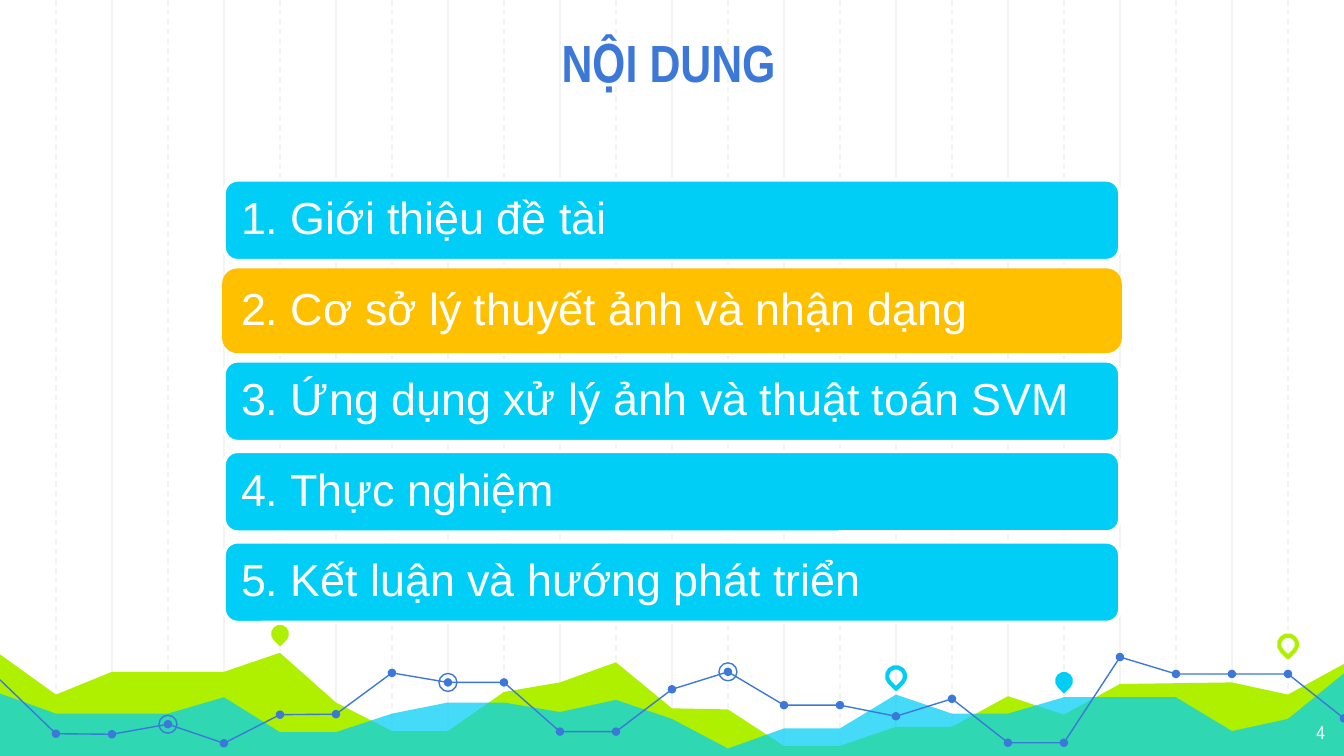
from lxml.etree import SubElement
from pptx import Presentation
from pptx.dml.color import RGBColor
from pptx.enum.dml import MSO_LINE
from pptx.enum.shapes import MSO_CONNECTOR, MSO_SHAPE
from pptx.enum.text import MSO_ANCHOR, PP_ALIGN
from pptx.oxml.ns import qn
from pptx.util import Cm, Pt

COLORS = {
    "grid": "F3F3F3",
    "green": "AFF000",
    "cyan": "00CEF6",
    "blue": "3C78D8",
    "amber": "FFC000",
    "white": "FFFFFF",
}
WIDTH, HEIGHT = 25.4, 14.29
COLUMN = WIDTH / 24
GROUND = 14.35


class SlideArtist:
    heading_font = "Arial Narrow"
    body_font = "Arial"

    def __init__(self, slide):
        self.slide = slide
        self.shapes = slide.shapes

    def color(self, name):
        return RGBColor.from_string(COLORS[name])

    def paint(self, shape, fill=None, line=None, weight=0.75):
        shape.shadow.inherit = False
        if fill:
            shape.fill.solid()
            shape.fill.fore_color.rgb = self.color(fill)
        else:
            shape.fill.background()
        if line:
            shape.line.color.rgb = self.color(line)
            shape.line.width = Pt(weight)
        else:
            shape.line.fill.background()

    def grid_line(self, column, dashed):
        x = Cm(column * COLUMN)
        line = self.shapes.add_connector(MSO_CONNECTOR.STRAIGHT, x, Cm(0), x, Cm(GROUND))
        line.line.color.rgb = self.color("grid")
        line.line.width = Pt(0.75)
        if dashed:
            line.line.dash_style = MSO_LINE.DASH
        SubElement(line._element.spPr, qn("a:effectLst"))

    def outline(self, points, closed):
        corners = [(Cm(column * COLUMN), Cm(y)) for column, y in points]
        builder = self.shapes.build_freeform(*corners[0], scale=1.0)
        builder.add_line_segments(corners[1:], close=closed)
        return builder.convert_to_shape()

    def area(self, heights, fill, opacity=100):
        shape = self.outline([*heights.items(), (24, GROUND), (0, GROUND)], True)
        self.paint(shape, fill)
        if opacity < 100:
            tint = shape._element.spPr.find(qn("a:solidFill"))[0]
            SubElement(tint, qn("a:alpha"), val=str(opacity * 1000))

    def trend(self, points):
        self.paint(self.outline(points, False), line="blue")

    def marker(self, column, y, size, kind=MSO_SHAPE.OVAL, **style):
        shape = self.shapes.add_shape(
            kind, Cm(column * COLUMN - size / 2), Cm(y - size / 2), Cm(size), Cm(size)
        )
        self.paint(shape, **style)
        return shape

    def pin(self, column, y, **style):
        self.marker(column, y, 0.34, MSO_SHAPE.TEAR, weight=2.25, **style).rotation = 135

    def set_text(self, shape, text, size, color, font, align, anchor, bold=False):
        frame = shape.text_frame
        frame.text = text
        frame.word_wrap = True
        frame.vertical_anchor = anchor
        frame.margin_left = frame.margin_right = Cm(0.25)
        frame.margin_top = frame.margin_bottom = Cm(0.25)
        para = frame.paragraphs[0]
        para.alignment = align
        span = para.runs[0]
        span.font.size = Pt(size)
        span.font.name = font
        span.font.bold = bold
        span.font.color.rgb = self.color(color)
        return para

    def label(self, left, top, width, height, text, size, color, align, anchor, bold=False):
        box = self.shapes.add_textbox(Cm(left), Cm(top), Cm(width), Cm(height))
        self.set_text(box, text, size, color, self.heading_font, align, anchor, bold)

    def bar(self, top, text, fill, line):
        bar = self.shapes.add_shape(
            MSO_SHAPE.ROUNDED_RECTANGLE, Cm(4 * COLUMN), Cm(top), Cm(16 * COLUMN), Cm(1.53)
        )
        self.paint(bar, fill, line, 2)
        para = self.set_text(
            bar, text, 24, "white", self.body_font, PP_ALIGN.LEFT, MSO_ANCHOR.MIDDLE
        )
        para.line_spacing = 0.9


def main():
    deck = Presentation()
    deck.slide_width, deck.slide_height = Cm(WIDTH), Cm(HEIGHT)
    page = SlideArtist(deck.slides.add_slide(deck.slide_layouts[6]))

    for first, dashed in ((2, False), (1, True)):
        for column in range(first, 24, 2):
            page.grid_line(column, dashed)

    green_hills = {
        0: 12.37, 1: 13.13, 2: 12.7, 4: 12.7, 5: 12.34, 6: 13.28, 7: 13.82, 8: 13.82,
        9: 13.08, 10: 12.9, 11: 12.52, 12: 13.39, 13: 13.41, 14: 14.1, 15: 14.1,
        16: 13.74, 17: 13.74, 18: 13.16, 19: 13.51, 20: 12.93, 22: 12.9, 23: 13.13,
        24: 12.55,
    }
    cyan_hills = {
        0: 13.11, 1: 13.49, 3: 13.49, 4: 13.18, 5: 13.84, 6: 13.84, 7: 13.49, 8: 13.28,
        9: 13.28, 10: 13.46, 11: 13.23, 12: 13.59, 13: 14.15, 14: 13.77, 15: 13.77,
        16: 13.13, 17: 13.49, 18: 13.49, 19: 13.18, 21: 13.18, 22: 13.82, 23: 13.59,
        24: 12.73,
    }
    page.area(green_hills, "green")
    page.area(cyan_hills, "cyan", 73)

    page.pin(5, 11.98, fill="green")
    page.pin(16, 12.78, line="cyan")
    page.pin(19, 12.87, fill="cyan")
    page.pin(23, 12.18, line="green")

    trend_heights = [
        12.85, 13.87, 13.88, 13.69, 14.05, 13.51, 13.5, 12.72, 12.9, 12.9, 13.83, 13.83,
        13.03, 12.7, 13.33, 13.33, 13.54, 13.21, 14.04, 14.04, 12.42, 12.74, 12.74,
        12.74, 13.58,
    ]
    trend_points = list(enumerate(trend_heights))
    for start, end in ((0, 11), (11, 20), (20, 24)):
        page.trend(trend_points[start:end + 1])
    for column, y in trend_points[1:]:
        page.marker(column, y, 0.16, fill="blue")
    for column in (3, 8, 13):
        page.marker(column, trend_heights[column], 0.34, line="blue")

    page.label(2.92, 0.36, 19.43, 1.65, "NỘI DUNG", 28, "blue",
               PP_ALIGN.CENTER, MSO_ANCHOR.BOTTOM, bold=True)
    page.label(23.77, 13.41, 1.52, 0.89, "4", 10, "white", PP_ALIGN.RIGHT, MSO_ANCHOR.TOP)

    topics = [
        "Giới thiệu đề tài",
        "Cơ sở lý thuyết ảnh và nhận dạng",
        "Ứng dụng xử lý ảnh và thuật toán SVM",
        "Thực nghiệm",
        "Kết luận và hướng phát triển",
    ]
    current = 2
    for number, topic in enumerate(topics, 1):
        fill, line = ("amber", "amber") if number == current else ("cyan", "white")
        page.bar(3.4 + (number - 1) * 1.71, f"{number}. {topic}", fill, line)

    deck.save("out.pptx")


if __name__ == "__main__":
    main()
